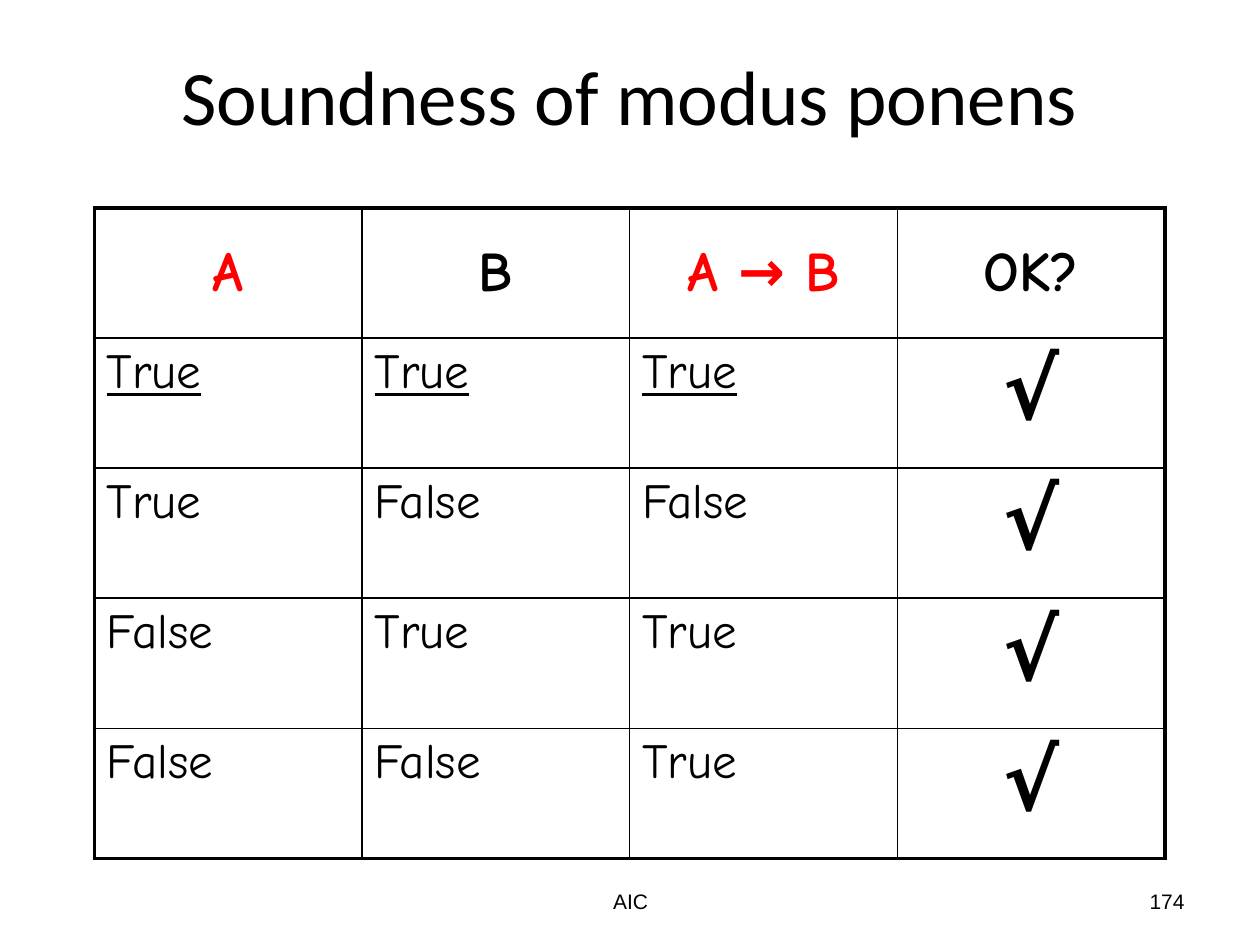
import pptx
import pptx.util
import pptx.dml.color
import pptx.enum.text
import pptx.oxml
import pptx.oxml.ns

Cm, Pt = pptx.util.Cm, pptx.util.Pt
ALIGN = pptx.enum.text.PP_ALIGN
MIDDLE = pptx.enum.text.MSO_ANCHOR.MIDDLE

COLORS = {"ink": "000000", "premise": "FF0000"}
TITLE = "Soundness of modus ponens"
HEADS = [("A", "premise"), ("B", "ink"), ("A → B", "premise"), ("OK?", "ink")]
ROWS = [
    ("True", "True", "True", "√"),
    ("True", "False", "False", "√"),
    ("False", "True", "True", "√"),
    ("False", "False", "True", "√"),
]
FOOTS = [
    ("AIC", 8.69, 8.05, ALIGN.CENTER),
    ("174", 18.21, 5.92, ALIGN.RIGHT),
]
LEFT, WIDTH = 1.9, 21.59
TOP, HEIGHT = 4.19, 13.12
THIN, THICK = 1, 2.25


def write(frame, text, font, size, align, color="ink", bold=False):
    """Put one styled paragraph into a text frame."""
    para = frame.paragraphs[0]
    para.text = text
    para.alignment = align
    para.font.name = font
    para.font.size = Pt(size)
    para.font.bold = bold
    para.font.color.rgb = pptx.dml.color.RGBColor.from_string(COLORS[color])
    return para


def border(cell, sides):
    """Draw the cell's sides at the given widths in points."""
    props = cell._tc.get_or_add_tcPr()
    for side, width in sides.items():
        props.append(pptx.oxml.parse_xml(
            f'<a:ln{side} {pptx.oxml.ns.nsdecls("a")} w="{Pt(width)}">'
            f'<a:solidFill><a:srgbClr val="{COLORS["ink"]}"/></a:solidFill>'
            f'</a:ln{side}>'))


def add_grid(slide):
    """Add the truth table with a thick outer frame."""
    rows, cols = len(ROWS) + 1, len(HEADS)
    table = slide.shapes.add_table(
        rows, cols, Cm(LEFT), Cm(TOP), Cm(WIDTH), Cm(HEIGHT)).table
    table.first_row = table.horz_banding = False
    for row in table.rows:
        row.height = Cm(HEIGHT / rows)
    for r, texts in enumerate([HEADS] + ROWS):
        for c, text in enumerate(texts):
            cell = table.cell(r, c)
            edges = {"L": c == 0, "R": c == cols - 1,
                     "T": r == 0, "B": r == rows - 1}
            border(cell, {s: THICK if out else THIN for s, out in edges.items()})
            cell.fill.background()
            if r == 0:
                label, color = text
                cell.vertical_anchor = MIDDLE
                write(cell.text_frame, label, "Comic Neue", 32,
                      ALIGN.CENTER, color, True)
            elif c == cols - 1:
                write(cell.text_frame, text, "Comic Neue", 48,
                      ALIGN.CENTER, bold=True)
            else:
                para = write(cell.text_frame, text, "Comic Neue", 28, ALIGN.LEFT)
                para.font.underline = r == 1


def main():
    """Build and save the slide."""
    deck = pptx.Presentation()
    deck.slide_width, deck.slide_height = Cm(25.4), Cm(19.05)
    slide = deck.slides.add_slide(deck.slide_layouts[5])
    title = slide.shapes.title
    title.left, title.top = Cm(LEFT), Cm(0.64)
    title.width, title.height = Cm(WIDTH), Cm(2.54)
    title.text_frame.vertical_anchor = MIDDLE
    write(title.text_frame, TITLE, "Calibri", 44, ALIGN.CENTER)
    add_grid(slide)
    for text, left, width, align in FOOTS:
        frame = slide.shapes.add_textbox(
            Cm(left), Cm(17.65), Cm(width), Cm(1.02)).text_frame
        frame.word_wrap = True
        frame.vertical_anchor = MIDDLE
        write(frame, text, "Arial", 12, align)
    deck.save("out.pptx")


if __name__ == "__main__":
    main()
